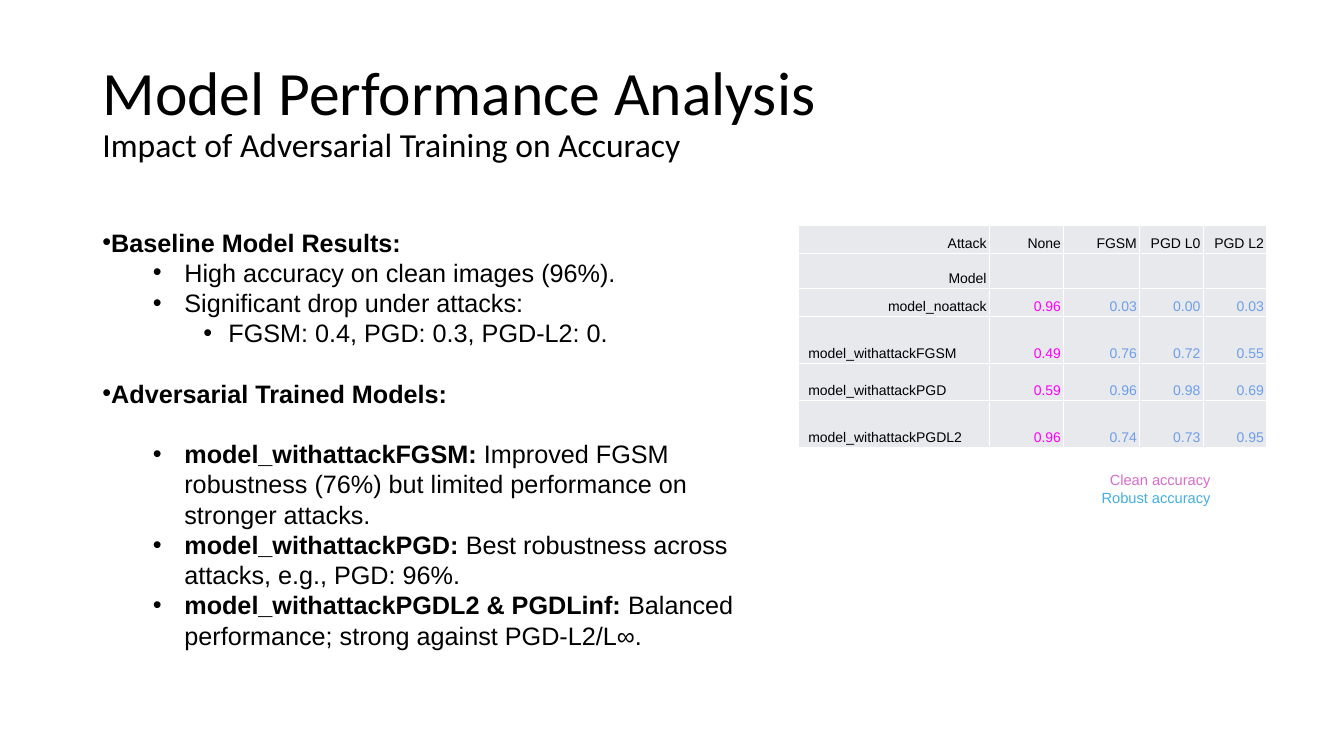
from dataclasses import dataclass

from lxml import etree
from pptx import Presentation
from pptx.dml.color import RGBColor
from pptx.enum import text as tx
from pptx.oxml import ns
from pptx.util import Pt


@dataclass(frozen=True)
class Theme:
    head: str = "Calibri"
    body: str = "Arial"
    ink: str = "000000"
    white: str = "FFFFFF"
    cell: str = "E7E9EC"
    clean: str = "FF00FF"
    robust: str = "6D9EEB"
    pink: str = "D86CCC"
    sky: str = "43AFE2"
    title: float = 44
    sub: float = 24
    text: float = 18
    lead: float = 21.6
    grid: float = 10
    key: float = 10.5
    keylead: float = 12.8


T = Theme()
RIGHT = tx.PP_ALIGN.RIGHT
LEFT = tx.PP_ALIGN.LEFT

# Left margin and first-line indent of each list level
INDENT = [(0, -8.64), (58.5, -22.5), (90, -18)]

# Level, bold part, plain part, space before, space after
POINTS = [
    (0, "Baseline Model Results:", "", 0, 0),
    (1, "", "High accuracy on clean images (96%).", 0, 0),
    (1, "", "Significant drop under attacks:", 0, 0),
    (2, "", "FGSM: 0.4, PGD: 0.3, PGD-L2: 0.", 0, 0),
    (0, "Adversarial Trained Models:", "", T.lead, T.lead),
    (1, "model_withattackFGSM:", " Improved FGSM robustness (76%) but limited "
        "performance on stronger attacks.", 0, 0),
    (1, "model_withattackPGD:", " Best robustness across attacks, e.g., PGD: 96%.", 0, 0),
    (1, "model_withattackPGDL2 & PGDLinf:", " Balanced performance; strong against "
        "PGD-L2/L∞.", 0, 0),
]

COLS = [136.6, 53.2, 54.2, 45.4, 45.4]
ROWS = [20, 25.2, 20, 33.2, 26.6, 33.2]
SCORES = [
    ["Attack", "None", "FGSM", "PGD L0", "PGD L2"],
    ["Model", "", "", "", ""],
    ["model_noattack", "0.96", "0.03", "0.00", "0.03"],
    ["model_withattackFGSM", "0.49", "0.76", "0.72", "0.55"],
    ["model_withattackPGD", "0.59", "0.96", "0.98", "0.69"],
    ["model_withattackPGDL2", "0.96", "0.74", "0.73", "0.95"],
]


def style(font, size, color, name=T.body, bold=False):
    font.size, font.name, font.bold = Pt(size), name, bold
    font.color.rgb = RGBColor.from_string(color)


def put(par, words, size, color, name=T.body, bold=False):
    run = par.add_run()
    run.text = words
    style(run.font, size, color, name, bold)


def place(shape, box):
    shape.left, shape.top, shape.width, shape.height = map(Pt, box)


def pad(frame, x, y):
    frame.margin_left = frame.margin_right = Pt(x)
    frame.margin_top = frame.margin_bottom = Pt(y)


def setup(frame, anchor):
    frame.word_wrap = True
    frame.auto_size = tx.MSO_AUTO_SIZE.NONE
    frame.vertical_anchor = anchor
    pad(frame, 7.2, 3.6)


def bullet(par, level):
    props = par._p.get_or_add_pPr()
    left, first = INDENT[level]
    props.set("marL", str(Pt(left)))
    props.set("indent", str(Pt(first)))
    color = etree.SubElement(props, ns.qn("a:buClr"))
    etree.SubElement(color, ns.qn("a:srgbClr"), val=T.ink)
    etree.SubElement(props, ns.qn("a:buFont"), typeface=T.body)
    etree.SubElement(props, ns.qn("a:buChar"), char="•")


def border(cell):
    props = cell._tc.get_or_add_tcPr()
    for i, side in enumerate(("lnL", "lnR", "lnT", "lnB")):
        line = etree.Element(ns.qn("a:" + side), w=str(Pt(0.75)))
        fill = etree.SubElement(line, ns.qn("a:solidFill"))
        etree.SubElement(fill, ns.qn("a:srgbClr"), val=T.white)
        props.insert(i, line)


# Title with its subtitle on a second line
def heading(slide, box):
    shape = slide.shapes.title
    place(shape, box)
    setup(shape.text_frame, tx.MSO_ANCHOR.MIDDLE)
    par = shape.text_frame.paragraphs[0]
    par.alignment, par.line_spacing = LEFT, 0.9
    put(par, "Model Performance Analysis", T.title, T.ink, T.head)
    par.add_line_break()
    put(par, "Impact of Adversarial Training on Accuracy", T.sub, T.ink, T.head)


# Bulleted findings
def findings(slide, box):
    shape = slide.placeholders[1]
    place(shape, box)
    frame = shape.text_frame
    setup(frame, tx.MSO_ANCHOR.TOP)
    for i, (level, strong, plain, above, below) in enumerate(POINTS):
        par = frame.add_paragraph() if i else frame.paragraphs[0]
        par.level, par.alignment = level, LEFT
        par.line_spacing = Pt(T.lead)
        par.space_before, par.space_after = Pt(above), Pt(below)
        bullet(par, level)
        if strong:
            put(par, strong, T.text, T.ink, bold=True)
        if plain:
            put(par, plain, T.text, T.ink)


# Accuracy of each model under each attack
def scores(slide, box):
    x, y = box
    table = slide.shapes.add_table(len(ROWS), len(COLS), Pt(x), Pt(y),
                                   Pt(sum(COLS)), Pt(sum(ROWS))).table
    table.first_row = table.horz_banding = False
    for col, width in zip(table.columns, COLS):
        col.width = Pt(width)
    for r, (row, high) in enumerate(zip(SCORES, ROWS)):
        table.rows[r].height = Pt(high)
        for c, words in enumerate(row):
            cell = table.cell(r, c)
            cell.fill.solid()
            cell.fill.fore_color.rgb = RGBColor.from_string(T.cell)
            border(cell)
            cell.vertical_anchor = tx.MSO_ANCHOR.BOTTOM
            trained = c == 0 and r > 2
            pad(cell, 7.2 if trained else 2.16, 1.44)
            par = cell.text_frame.paragraphs[0]
            par.alignment = LEFT if trained else RIGHT
            par.line_spacing = 1.15
            if not words:
                style(par.font, T.grid, T.ink)
                continue
            color = T.ink
            if r > 1 and c:
                color = T.clean if c == 1 else T.robust
            put(par, words, T.grid, color)


# Colour key below the table
def legend(slide, box):
    frame = slide.shapes.add_textbox(*map(Pt, box)).text_frame
    setup(frame, tx.MSO_ANCHOR.TOP)
    items = [("Clean accuracy", T.pink), ("Robust accuracy", T.sky)]
    for i, (words, color) in enumerate(items):
        par = frame.add_paragraph() if i else frame.paragraphs[0]
        par.alignment, par.line_spacing = RIGHT, Pt(T.keylead)
        put(par, words, T.key, color)


def main():
    deck = Presentation()
    deck.slide_width, deck.slide_height = Pt(960), Pt(540)
    slide = deck.slides.add_slide(deck.slide_layouts[1])
    heading(slide, (66, 28.8, 828, 104.4))
    findings(slide, (66, 158.4, 472.4, 312.4))
    scores(slide, (570.2, 161.2))
    legend(slide, (530.6, 332.6, 341.2, 32.4))
    deck.save("out.pptx")


if __name__ == "__main__":
    main()
